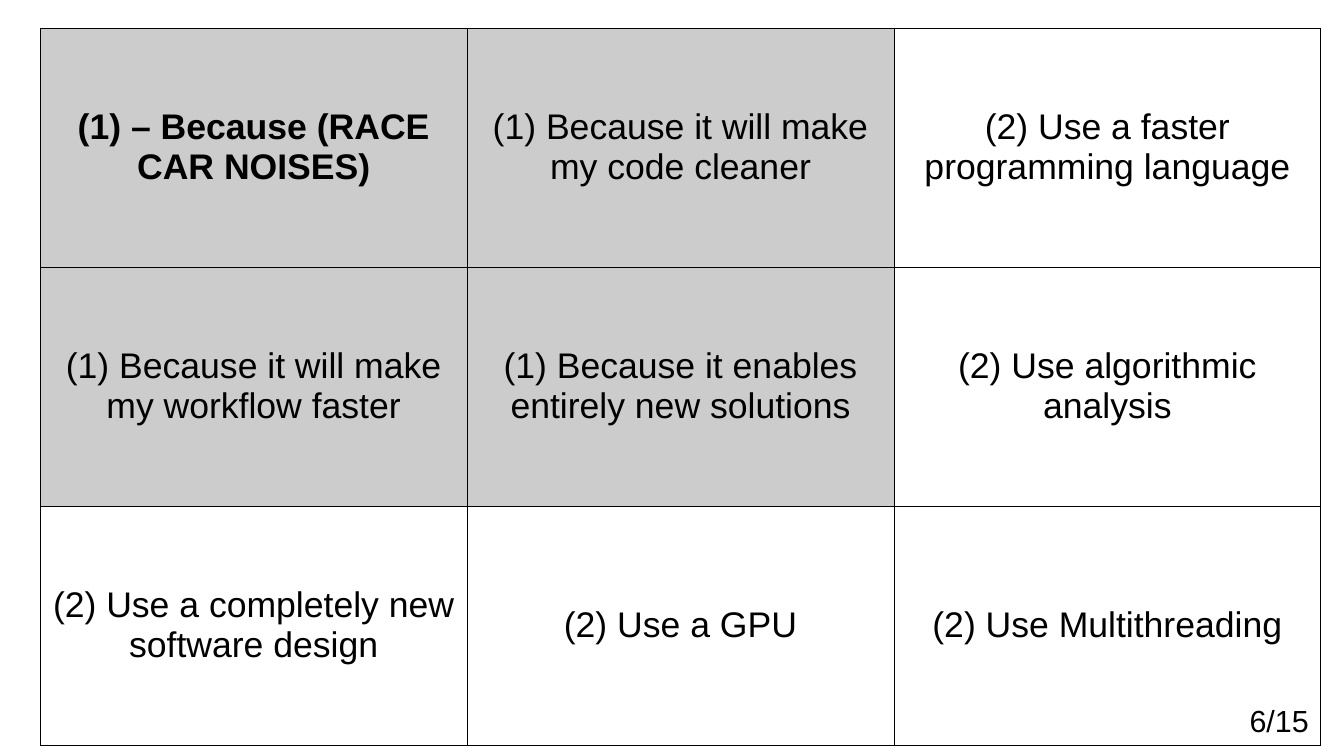
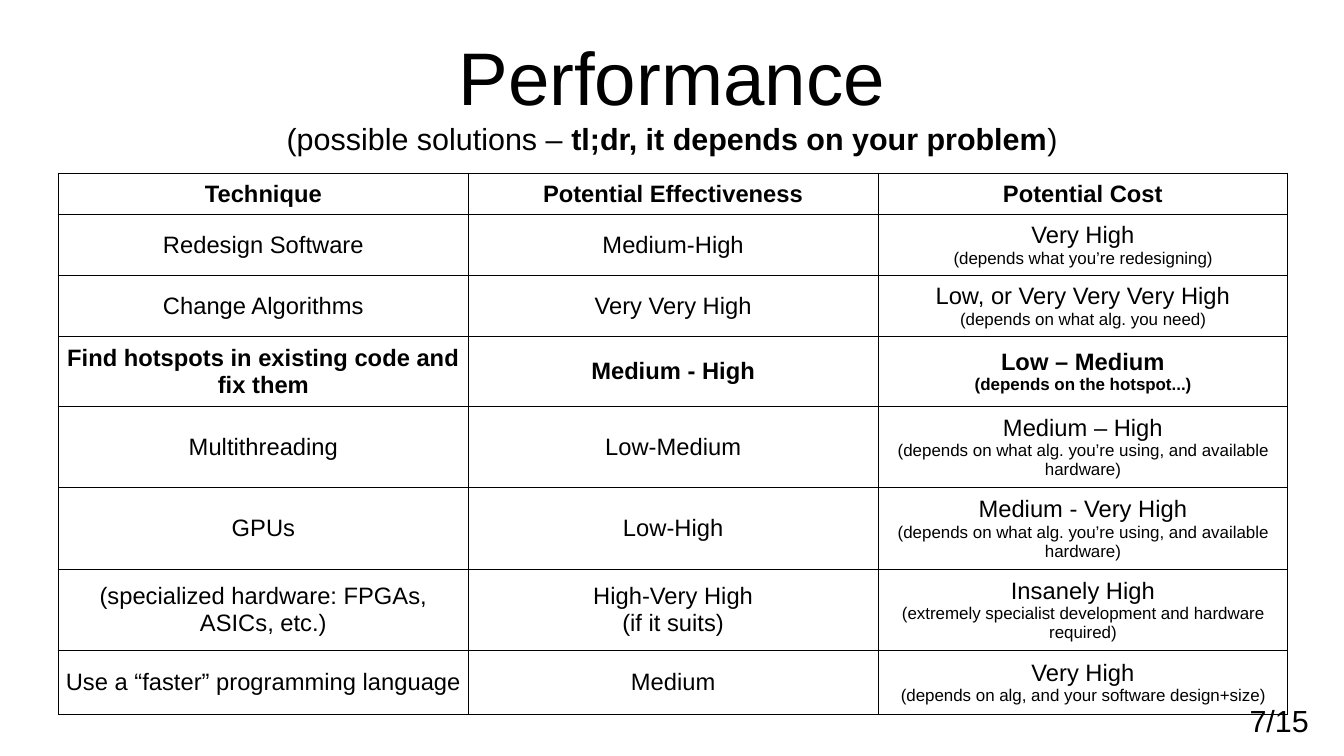
import pptx
import pptx.dml.color
import pptx.enum.text
import pptx.util
import lxml.etree
from pptx.util import Inches

FONT, INK, SHADE = "Arial", "000000", "CCCCCC"
BORDER_POINTS = 0.57
PAGE_TOTAL = 15
CENTER = pptx.enum.text.PP_ALIGN.CENTER
RIGHT = pptx.enum.text.PP_ALIGN.RIGHT
MIDDLE = pptx.enum.text.MSO_ANCHOR.MIDDLE
TITLE_ONLY, BLANK = 5, 6
DRAWING = "http://schemas.openxmlformats.org/drawingml/2006/main"

REASONS = [
    ["(1) – Because (RACE CAR NOISES)", "(1) Because it will make my code cleaner",
     "(2) Use a faster programming language"],
    ["(1) Because it will make my workflow faster",
     "(1) Because it enables entirely new solutions", "(2) Use algorithmic analysis"],
    ["(2) Use a completely new software design", "(2) Use a GPU",
     "(2) Use Multithreading"],
]
REASON_HEIGHTS = [1.96] * 3

# Each cell is a list of paragraphs; the last column adds a small note.
HARDWARE_NOTE = "(depends on what alg. you’re using, and available hardware)"
TECHNIQUES = [
    [["Technique"], ["Potential Effectiveness"], ["Potential Cost"]],
    [["Redesign Software"], ["Medium-High"],
     ["Very High", "(depends what you’re redesigning)"]],
    [["Change Algorithms"], ["Very Very High"],
     ["Low, or Very Very Very High", "(depends on what alg. you need)"]],
    [["Find hotspots in existing code and fix them"], ["Medium - High"],
     ["Low – Medium", "(depends on the hotspot...)"]],
    [["Multithreading"], ["Low-Medium"], ["Medium – High", HARDWARE_NOTE]],
    [["GPUs"], ["Low-High"], ["Medium - Very High", HARDWARE_NOTE]],
    [["(specialized hardware: FPGAs, ASICs, etc.)"],
     ["High-Very High", "(if it suits)"],
     ["Insanely High", "(extremely specialist development and hardware required)"]],
    [["Use a “faster” programming language"], ["Medium"],
     ["Very High", "(depends on alg, and your software design+size)"]],
]
TECHNIQUE_HEIGHTS = [0.34, 0.5, 0.5, 0.57, 0.66, 0.67, 0.66, 0.52]
BOLD_TECHNIQUE_ROWS = (0, 3)

SUBTITLE = [("(possible solutions – ", False),
            ("tl;dr, it depends on your problem", True), (")", False)]


def color(value):
    return pptx.dml.color.RGBColor.from_string(value)


def add_text(para, text, size, bold=False, align=CENTER):
    para.alignment = align
    span = para.add_run()
    span.text = text
    span.font.name = FONT
    span.font.size = pptx.util.Pt(size)
    span.font.bold = bold
    span.font.color.rgb = color(INK)


def set_borders(cell):
    properties = cell._tc.get_or_add_tcPr()
    for index, side in enumerate(("lnL", "lnR", "lnT", "lnB")):
        line = lxml.etree.Element(f"{{{DRAWING}}}{side}",
                                  w=str(pptx.util.Pt(BORDER_POINTS)))
        fill = lxml.etree.SubElement(line, f"{{{DRAWING}}}solidFill")
        lxml.etree.SubElement(fill, f"{{{DRAWING}}}srgbClr", val=INK)
        properties.insert(index, line)


def add_grid(page, left, top, column_width, heights, columns=3):
    """Add a plain bordered table and return it with unfilled cells."""
    table = page.shapes.add_table(
        len(heights), columns, Inches(left), Inches(top),
        Inches(column_width * columns), Inches(sum(heights))).table
    table.first_row = table.horz_banding = False
    for column in table.columns:
        column.width = Inches(column_width)
    for row, height in zip(table.rows, heights):
        row.height = Inches(height)
    for cell in table.iter_cells():
        cell.vertical_anchor = MIDDLE
        cell.margin_left = cell.margin_right = Inches(0.04)
        cell.margin_top = cell.margin_bottom = Inches(0.05)
        cell.fill.background()
        set_borders(cell)
    return table


def add_page_number(page, number):
    box = page.shapes.add_textbox(Inches(9.65), Inches(5.71), Inches(1.18), Inches(0.66))
    box.text_frame.word_wrap = True
    add_text(box.text_frame.paragraphs[0], f"{number}/{PAGE_TOTAL}", 18, align=RIGHT)


def build_reasons(deck):
    page = deck.slides.add_slide(deck.slide_layouts[BLANK])
    table = add_grid(page, 0.33, 0.23, 3.5, REASON_HEIGHTS)
    for r, row in enumerate(REASONS):
        for c, text in enumerate(row):
            cell = table.cell(r, c)
            add_text(cell.text_frame.paragraphs[0], text, 21, bold=(r == c == 0))
            if text.startswith("(1)"):
                cell.fill.solid()
                cell.fill.fore_color.rgb = color(SHADE)
    add_page_number(page, 6)


def add_title(page):
    title = page.shapes.title
    title.left, title.top = Inches(0.55), Inches(0.24)
    title.width, title.height = Inches(9.92), Inches(1.06)
    frame = title.text_frame
    frame.auto_size = pptx.enum.text.MSO_AUTO_SIZE.NONE
    frame.vertical_anchor = MIDDLE
    frame.margin_left = frame.margin_right = frame.margin_top = frame.margin_bottom = 0
    para = frame.paragraphs[0]
    add_text(para, "Performance", 44)
    para.add_line_break()
    for text, bold in SUBTITLE:
        add_text(para, text, 18, bold=bold)


def build_techniques(deck):
    page = deck.slides.add_slide(deck.slide_layouts[TITLE_ONLY])
    add_title(page)
    add_page_number(page, 7)
    table = add_grid(page, 0.48, 1.42, 3.36, TECHNIQUE_HEIGHTS)
    for r, row in enumerate(TECHNIQUES):
        for c, lines in enumerate(row):
            frame = table.cell(r, c).text_frame
            for index, text in enumerate(lines):
                para = frame.add_paragraph() if index else frame.paragraphs[0]
                is_note = index > 0 and c == len(row) - 1
                add_text(para, text, 10 if is_note else 14,
                         bold=r in BOLD_TECHNIQUE_ROWS)


def main():
    deck = pptx.Presentation()
    deck.slide_width, deck.slide_height = Inches(11.02), Inches(6.2)
    build_reasons(deck)
    build_techniques(deck)
    deck.save("out.pptx")


if __name__ == "__main__":
    main()
